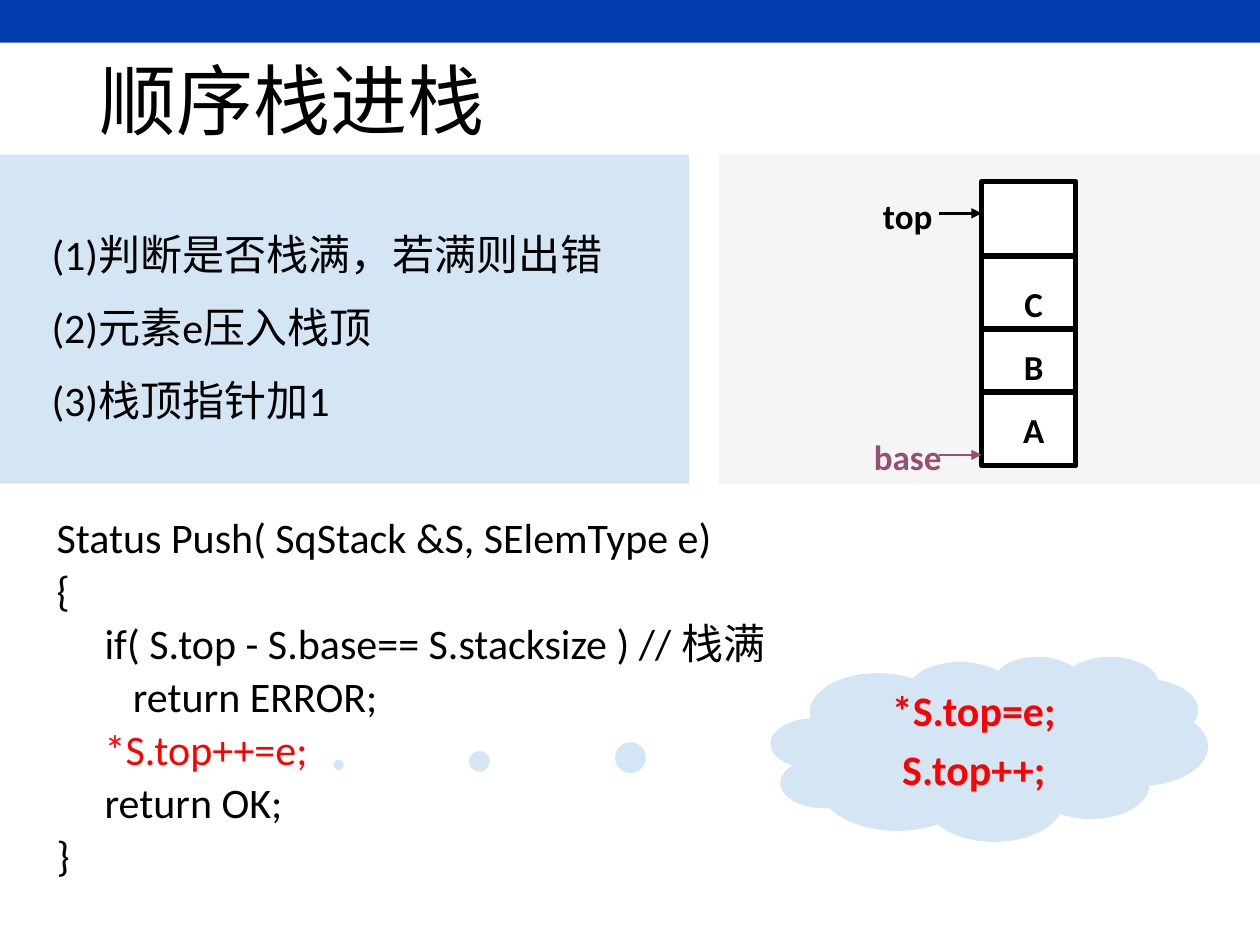
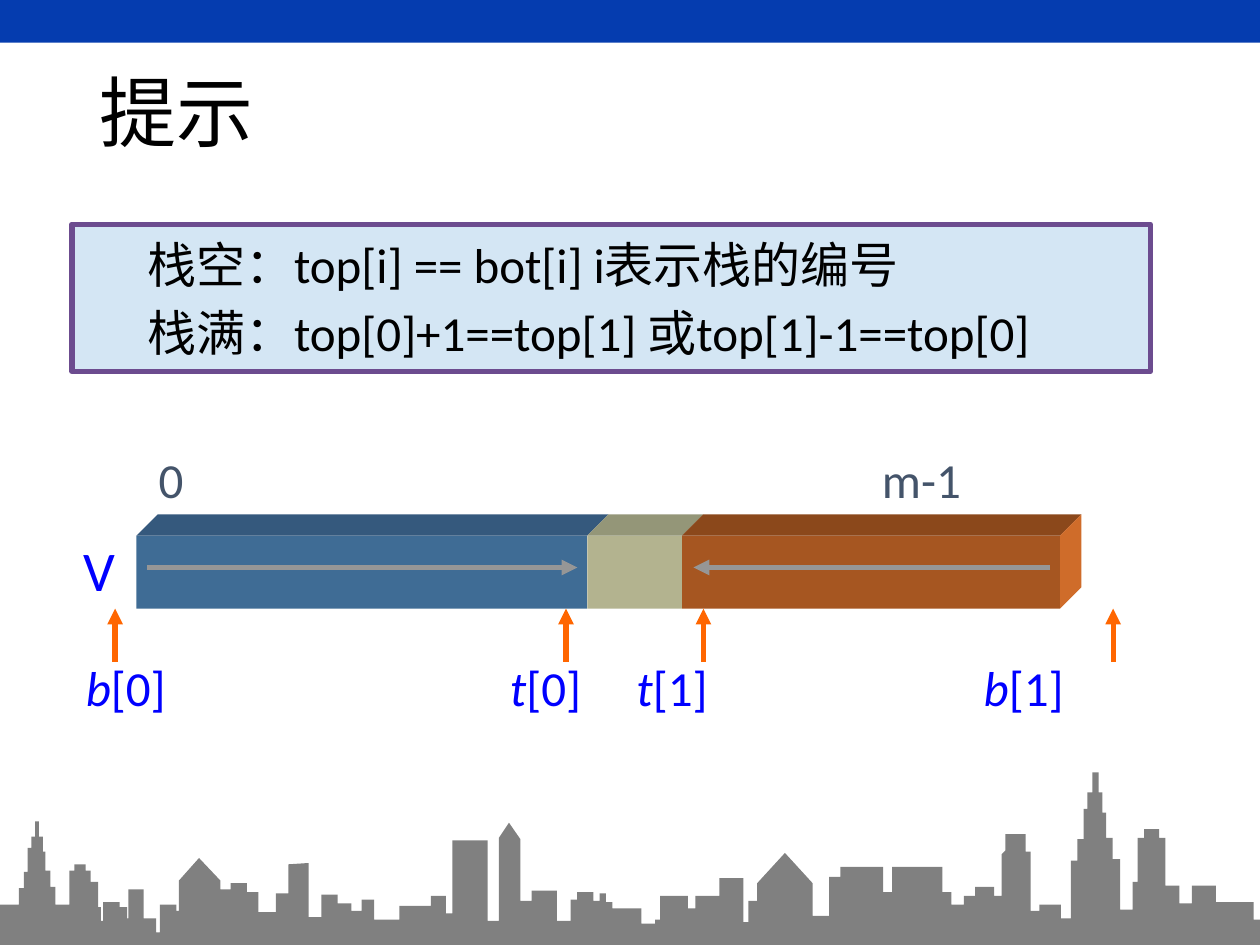
from lxml.etree import SubElement
from pptx import Presentation
from pptx.dml.color import RGBColor
from pptx.enum.shapes import MSO_CONNECTOR, MSO_SHAPE
from pptx.enum.text import MSO_ANCHOR, PP_ALIGN
from pptx.oxml.ns import qn
from pptx.util import Cm, Pt

FONT = "Calibri"
BLACK, WHITE, RED = "000000", "FFFFFF", "FF0000"
BAND, PALE_BLUE, PALE_GREY = "053CAF", "D4E6F4", "F5F5F5"
PLUM, PURPLE, ORANGE = "954F72", "6C4C8F", "FF6600"
LABEL_BLUE, SLATE, ARROW_GREY, CITY_GREY = "0000FF", "44546A", "969696", "808080"
PAGE_WIDTH, PAGE_HEIGHT = 25.4, 19.05

ROOFLINE = [
    (15, 718), (19, 705), (22, 692), (25, 673), (28, 664), (31, 652), (34, 664),
    (36, 676), (40, 691), (44, 704), (55, 718), (59, 691), (68, 686), (72, 691),
    (78, 700), (80, 720), (82, 731), (95, 716), (101, 720), (102, 729), (114, 706),
    (124, 729), (127, 740), (140, 718), (142, 723), (158, 699, 681), (175, 681, 699),
    (183, 706), (196, 701), (205, 708), (219, 724), (229, 709), (245, 686, 685),
    (255, 728), (268, 710), (279, 717), (287, 723), (297, 714), (317, 730),
    (342, 719), (354, 711), (359, 725), (387, 667), (396, 731), (404, 665, 653),
    (413, 653, 666), (422, 715), (442, 707), (453, 731), (458, 714), (471, 708),
    (476, 715), (481, 709), (486, 716), (509, 721), (520, 733), (524, 730),
    (546, 711), (552, 721), (571, 711), (590, 697), (594, 732), (601, 715),
    (623, 701, 677), (645, 677, 701), (658, 727), (667, 696), (701, 688),
    (708, 708), (748, 688), (755, 708), (765, 718), (774, 711), (789, 704),
    (795, 711), (798, 678, 675), (814, 662), (818, 676), (825, 723), (842, 718),
    (850, 729), (855, 683), (860, 666), (863, 642), (867, 629), (872, 613),
    (875, 629), (878, 645), (883, 665), (889, 682), (899, 722), (903, 700),
    (908, 665), (920, 658), (925, 665), (936, 703), (946, 717), (965, 703),
    (995, 716), (1000, 730),
]


def rgb(code):
    return RGBColor.from_string(code)


def paint(shape, fill, line=None):
    shape.shadow.inherit = False
    shape.fill.solid()
    shape.fill.fore_color.rgb = rgb(fill)
    if line:
        shape.line.color.rgb = rgb(line)
        shape.line.width = Pt(3)
    else:
        shape.line.fill.background()
    return shape


def add_block(slide, box, fill, line=None, preset=MSO_SHAPE.RECTANGLE):
    shape = slide.shapes.add_shape(preset, *map(Cm, box))
    return paint(shape, fill, line)


def add_outline(slide, points, unit, fill):
    builder = slide.shapes.build_freeform(*points[0], scale=unit)
    builder.add_line_segments(points[1:], close=True)
    return paint(builder.convert_to_shape(), fill)


def add_line(slide, start, end, color, width=3, arrow=False):
    connector = slide.shapes.add_connector(
        MSO_CONNECTOR.STRAIGHT, *map(Cm, (*start, *end)))
    connector.line.color.rgb = rgb(color)
    connector.line.width = Pt(width)
    if arrow:
        SubElement(connector.line._get_or_add_ln(), qn("a:tailEnd"), type="triangle")
    SubElement(connector._element.spPr, qn("a:effectLst"))


def style(paragraph, size, color, bold=False, align=PP_ALIGN.LEFT,
          spacing=1.0, gap=0, margin=0, indent=0):
    font = paragraph.font
    font.name, font.size, font.bold = FONT, Pt(size), bold
    font.color.rgb = rgb(color)
    paragraph.alignment = align
    paragraph.line_spacing = spacing
    paragraph.space_before = Pt(gap)
    properties = paragraph._p.get_or_add_pPr()
    properties.set("marL", str(Cm(margin)))
    properties.set("indent", str(Cm(indent)))


def write(shape, lines, size, color, anchor=MSO_ANCHOR.TOP, **options):
    frame = shape.text_frame
    frame.word_wrap = True
    frame.vertical_anchor = anchor
    frame.text = "\n".join(lines)
    for paragraph in frame.paragraphs:
        style(paragraph, size, color, **options)
    return frame


def add_text(slide, box, lines, size, color, **options):
    textbox = slide.shapes.add_textbox(*map(Cm, box))
    return write(textbox, lines, size, color, **options)


def add_header(slide, title, height):
    add_block(slide, (0, 0, PAGE_WIDTH, 0.86), BAND)
    add_text(slide, (1.75, 1.02, 21.9, height), [title], 44, BLACK,
             anchor=MSO_ANCHOR.MIDDLE, spacing=0.9)


def add_steps(slide, box):
    steps = ["(1)判断是否栈满，若满则出错", "(2)元素e压入栈顶", "(3)栈顶指针加1"]
    write(add_block(slide, box, PALE_BLUE), steps, 24, BLACK,
          anchor=MSO_ANCHOR.MIDDLE, spacing=1.3, gap=4.3, margin=2.49, indent=-1.7)


def add_code(slide, box):
    code = [
        ("Status Push( SqStack &S, SElemType e)", 0, BLACK),
        ("{", 0, BLACK),
        ("if( S.top - S.base== S.stacksize ) // 栈满", 0.97, BLACK),
        ("return ERROR;", 1.54, BLACK),
        ("*S.top++=e;", 0.97, RED),
        ("return OK;", 0.97, BLACK),
        ("}", 0, BLACK),
    ]
    frame = add_text(slide, box, [line for line, _, _ in code], 24, BLACK)
    for paragraph, (_, margin, color) in zip(frame.paragraphs, code):
        style(paragraph, 24, color, spacing=0.9, gap=4.3, margin=margin)


def add_explanation(slide, box):
    cloud = add_block(slide, box, PALE_BLUE, preset=MSO_SHAPE.CLOUD_CALLOUT)
    cloud.adjustments[0], cloud.adjustments[1] = -1.489, 0.087
    frame = write(cloud, ["*S.top=e;", "S.top++;"], 24, RED, bold=True,
                  align=PP_ALIGN.CENTER, gap=4.3, margin=0.97, indent=-0.97)
    frame.paragraphs[0].line_spacing = 0.9


def add_stack(slide, box):
    left, top, width, height = box
    add_block(slide, box, WHITE, BLACK)
    for divider in (1.5, 2.97, 4.24):
        add_line(slide, (left, top + divider), (left + width, top + divider), BLACK)
    for level, element in enumerate("CBA"):
        add_text(slide, (left + 0.2, top + 1.91 + 1.27 * level, 1.7, 1.09),
                 [element], 20, BLACK, bold=True, align=PP_ALIGN.CENTER)
    for pointer, drop, color in (("top", 0.64, BLACK), ("base", 5.51, PLUM)):
        y = top + drop
        add_line(slide, (left - 0.86, y), (left, y), color, 1.5, arrow=True)
        add_text(slide, (left - 3.18, y - 0.51, 3.38, 1.09), [pointer], 20, color,
                 bold=True, align=PP_ALIGN.CENTER)


def add_conditions(slide, box):
    conditions = ["栈空：top[i] == bot[i] i表示栈的编号",
                  "栈满：top[0]+1==top[1] 或top[1]-1==top[0]"]
    write(add_block(slide, box, PALE_BLUE, PURPLE), conditions, 28, BLACK,
          anchor=MSO_ANCHOR.MIDDLE, gap=5, margin=1.27)


def add_shared_array(slide, box):
    left, top, width, height = box
    depth = 0.43
    parts = [(9.09, "3F6C95", "35597D"), (1.91, "B3B38F", "949678"),
             (7.62, "A65621", "8B481B")]

    def add_face(corners, fill):
        points = [(round(x * 100), round(y * 100)) for x, y in corners]
        add_outline(slide, points, Cm(0.01), fill)

    x = left
    for part_width, front, lid in parts:
        add_block(slide, (x, top, part_width, height), front)
        end = x + part_width
        add_face([(x, top), (x + depth, top - depth),
                  (end + depth, top - depth), (end, top)], lid)
        x = end
    add_face([(x, top), (x + depth, top - depth),
              (x + depth, top + height - depth), (x, top + height)], "CF6C2A")

    middle = top + 0.64
    for start, end in ((0.22, 8.89), (18.42, 11.23)):
        add_line(slide, (left + start, middle), (left + end, middle),
                 ARROW_GREY, arrow=True)

    for index, offset in (("0", 0.2), ("m-1", 14.78)):
        add_text(slide, (left + offset, top - 1.86, 2.5, 1.45), [index], 28, SLATE)
    add_text(slide, (left - 1.32, top - 0.13, 1.32, 1.6), ["V"], 32, LABEL_BLUE)

    bottom = top + height
    pointers = [("b", "[0]", -0.43, -1.27), ("t", "[0]", 8.66, 7.28),
                ("t", "[1]", 11.43, 9.83), ("b", "[1]", 19.69, 16.83)]
    for letter, subscript, arrow, label in pointers:
        add_line(slide, (left + arrow, bottom + 1.07), (left + arrow, bottom),
                 ORANGE, arrow=True)
        frame = add_text(slide, (left + label, bottom + 0.86, 2.5, 1.45),
                         [letter], 28, LABEL_BLUE)
        paragraph = frame.paragraphs[0]
        paragraph.runs[0].font.italic = True
        paragraph.add_run().text = subscript


def add_skyline(slide):
    points = [(0, 750)]
    x = 0
    for right, start, *finish in ROOFLINE:
        points += [(x, start), (right, finish[0] if finish else start)]
        x = right
    points.append((x, 750))
    add_outline(slide, points, Cm(PAGE_WIDTH) / 1000, CITY_GREY)


def build_push_slide(slide):
    add_header(slide, "顺序栈进栈", 2.16)
    add_block(slide, (14.5, 3.12, 10.9, 6.63), PALE_GREY)
    add_steps(slide, (0, 3.12, 13.89, 6.63))
    add_code(slide, (0.89, 10.31, 16.2, 8.13))
    add_explanation(slide, (15.54, 13.23, 8.81, 3.73))
    add_stack(slide, (19.79, 3.66, 1.9, 5.72))


def build_hint_slide(slide):
    add_header(slide, "提示", 2.67)
    add_conditions(slide, (1.45, 4.52, 21.74, 2.97))
    add_shared_array(slide, (2.75, 10.8, 18.62, 1.47))
    add_skyline(slide)


def main():
    deck = Presentation()
    deck.slide_width, deck.slide_height = Cm(PAGE_WIDTH), Cm(PAGE_HEIGHT)
    blank = deck.slide_layouts[6]
    for build in (build_push_slide, build_hint_slide):
        build(deck.slides.add_slide(blank))
    deck.save("out.pptx")


if __name__ == "__main__":
    main()
